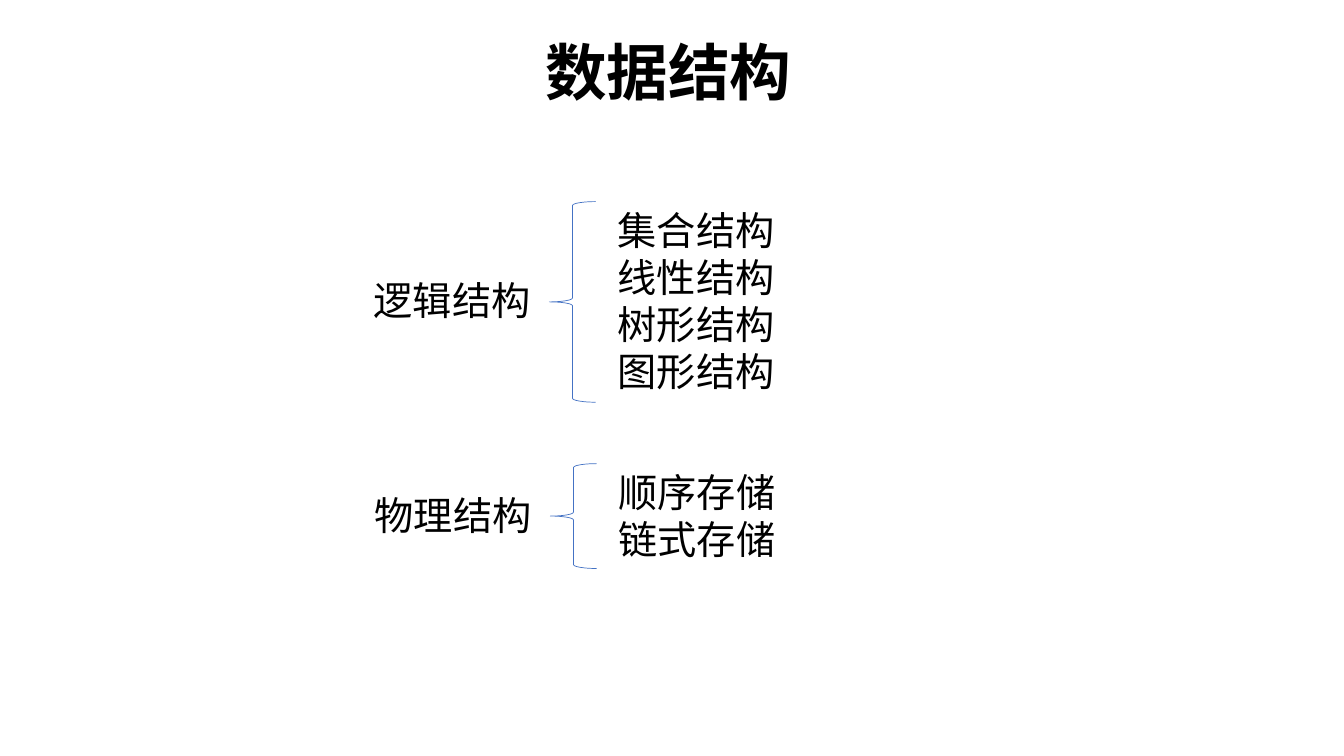
import pptx
import pptx.dml.color
import pptx.enum.shapes
import pptx.enum.text
import pptx.oxml
import pptx.oxml.ns
import pptx.util

Pt = pptx.util.Pt
RGBColor = pptx.dml.color.RGBColor
ALIGN = pptx.enum.text.PP_ALIGN
ANCHOR = pptx.enum.text.MSO_ANCHOR

TITLE = "数据结构"
GROUPS = [
    {"label": "逻辑结构", "left": 260, "top": 144, "height": 143.3,
     "items": ["集合结构", "线性结构", "树形结构", "图形结构"]},
    {"label": "物理结构", "left": 260.7, "top": 331.2, "height": 74.9,
     "items": ["顺序存储", "链式存储"]},
]

FONT = "Noto Sans CJK SC"
BLACK = RGBColor(0x00, 0x00, 0x00)
BLUE = RGBColor(0x44, 0x72, 0xC4)

LABEL_W, LABEL_H = 131.8, 36
LABEL_RISE = 15
BRACE_DX, BRACE_W = 132.4, 33.1
ITEMS_DX, ITEMS_W = 174.2, 221


def add_text(s, box, lines, size, para=None, bold=False, anchor=ANCHOR.TOP):
    tf = s.shapes.add_textbox(*map(Pt, box)).text_frame
    tf.word_wrap = True
    tf.vertical_anchor = anchor
    for i, line in enumerate(lines):
        p = tf.paragraphs[0] if i == 0 else tf.add_paragraph()
        for name, value in (para or {}).items():
            setattr(p, name, value)
        r = p.add_run()
        r.text = line
        r.font.color.rgb = BLACK
        for name, value in {"size": Pt(size), "bold": bold, "name": FONT}.items():
            setattr(r.font, name, value)
        ea = pptx.oxml.parse_xml(
            f'<a:ea {pptx.oxml.ns.nsdecls("a")} typeface="{FONT}"/>')
        r.font._element.append(ea)


def add_group(s, group):
    left, top, height = group["left"], group["top"], group["height"]
    label_top = top + height / 2 - LABEL_RISE
    add_text(s, (left, label_top, LABEL_W, LABEL_H), [group["label"]], 28,
             {"line_spacing": 0.8})
    sp = s.shapes.add_shape(pptx.enum.shapes.MSO_SHAPE.LEFT_BRACE,
                            Pt(left + BRACE_DX), Pt(top), Pt(BRACE_W), Pt(height))
    sp.shadow.inherit = False
    sp.fill.background()
    sp.line.color.rgb = BLUE
    sp.line.width = Pt(0.5)
    add_text(s, (left + ITEMS_DX, top, ITEMS_W, height), group["items"], 28)


def main():
    prs = pptx.Presentation()
    prs.slide_width, prs.slide_height = Pt(960), Pt(540)
    s = prs.slides.add_slide(prs.slide_layouts[6])
    add_text(s, (63.4, 1.4, 828, 104.4), [TITLE], 44,
             {"alignment": ALIGN.CENTER, "line_spacing": 0.9},
             bold=True, anchor=ANCHOR.MIDDLE)
    for group in GROUPS:
        add_group(s, group)
    prs.save("out.pptx")


if __name__ == "__main__":
    main()
